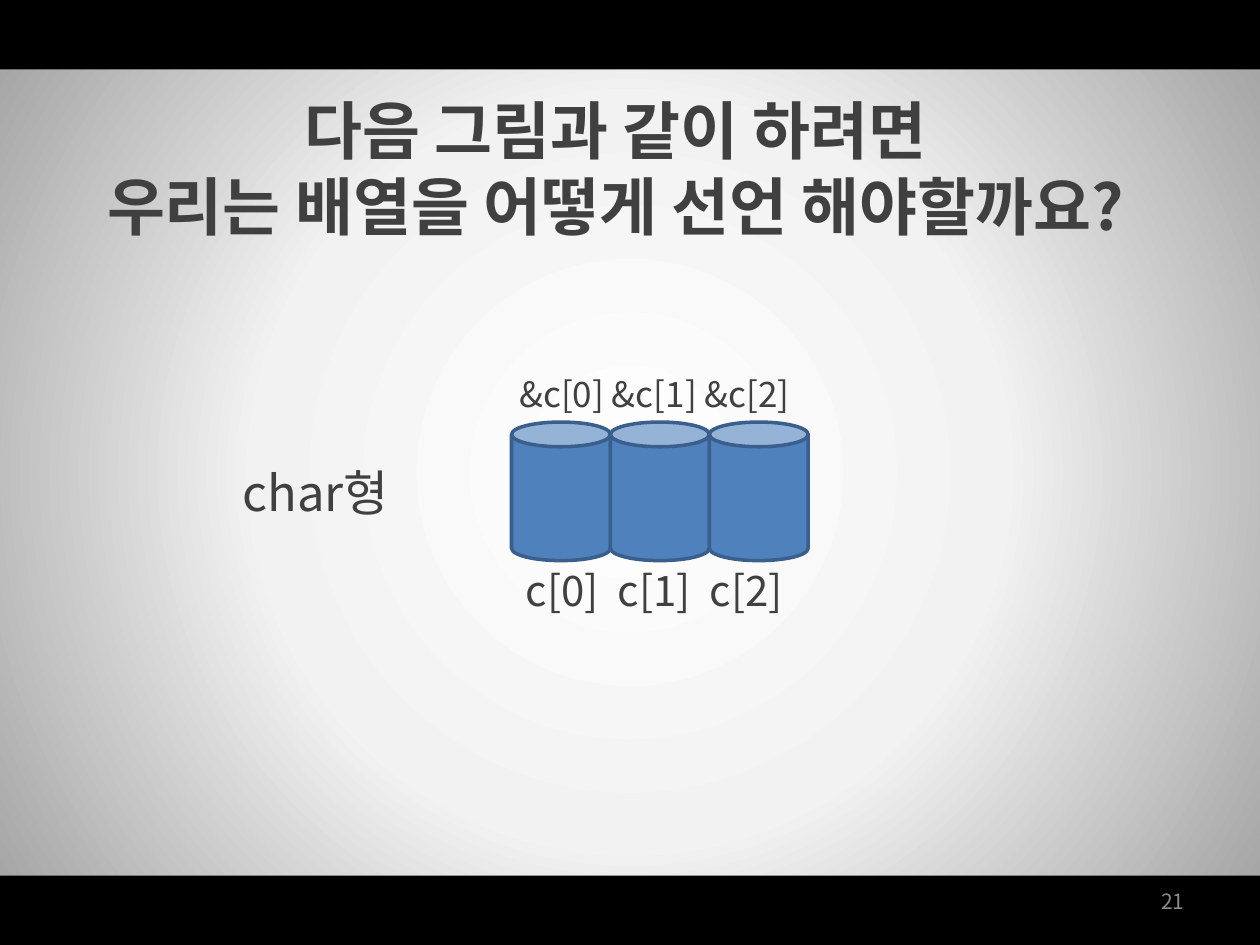
from lxml import etree
from pptx import Presentation
from pptx.dml.color import RGBColor
from pptx.enum.shapes import MSO_SHAPE
from pptx.enum.text import MSO_ANCHOR, MSO_AUTO_SIZE, PP_ALIGN
from pptx.oxml import parse_xml
from pptx.oxml.ns import nsdecls, qn
from pptx.util import Inches, Pt

RECT, CAN = MSO_SHAPE.RECTANGLE, MSO_SHAPE.CAN
CENTER, RIGHT = PP_ALIGN.CENTER, PP_ALIGN.RIGHT
TOP, MIDDLE = MSO_ANCHOR.TOP, MSO_ANCHOR.MIDDLE
GROW, FIXED = MSO_AUTO_SIZE.SHAPE_TO_FIT_TEXT, MSO_AUTO_SIZE.NONE
BLACK = RGBColor(0x00, 0x00, 0x00)
DARK = RGBColor(0x40, 0x40, 0x40)
GREY = RGBColor(0x8C, 0x8C, 0x8C)
BLUE = RGBColor(0x4F, 0x81, 0xBD)
EDGE = RGBColor(0x3A, 0x5F, 0x8C)
FONT = "Noto Sans CJK KR"
W, H, BAR = 10, 7.5, 0.55
CAN_X, CAN_Y, CAN_W, CAN_H = 4.06, 3.35, 0.785, 1.1

prs = Presentation()
prs.slide_width, prs.slide_height = Inches(W), Inches(H)
s = prs.slides.add_slide(prs.slide_layouts[6])


def add_shape(kind, x, y, w, h, fill, line=None):
    sp = s.shapes.add_shape(kind, Inches(x), Inches(y), Inches(w), Inches(h))
    sp.shadow.inherit = False
    sp.fill.solid()
    sp.fill.fore_color.rgb = fill
    if line is None:
        sp.line.fill.background()
    else:
        sp.line.color.rgb = line
        sp.line.width = Pt(2)
    return sp


def add_text(x, y, w, h, lines, size, color=DARK, bold=False,
             align=CENTER, anchor=TOP, fit=GROW, gap=0):
    """Each line is a list of words; gap widens the spaces between them, in points."""
    tf = s.shapes.add_textbox(Inches(x), Inches(y), Inches(w), Inches(h)).text_frame
    tf.word_wrap, tf.auto_size, tf.vertical_anchor = True, fit, anchor
    for i, words in enumerate(lines):
        p = tf.paragraphs[0] if i == 0 else tf.add_paragraph()
        p.alignment = align
        for j, word in enumerate(words):
            for text in ([" ", word] if j else [word]):
                r = p.add_run()
                r.text = text
                r.font.size, r.font.bold, r.font.name = Pt(size), bold, FONT
                r.font.color.rgb = color
                rPr = r.font._element
                etree.SubElement(rPr, qn("a:ea")).set("typeface", FONT)
                if text == " " and gap:
                    rPr.set("spc", str(int(gap * 100)))


# Radial backdrop between two black bars
backdrop = add_shape(RECT, 0, BAR, W, H - 2 * BAR, GREY)
stops = "".join(
    f'<a:gs pos="{pos}000"><a:srgbClr val="{color}"/></a:gs>'
    for pos, color in [(0, "FFFFFF"), (50, "F2F2F2"), (100, "A6A6A6")])
spPr = backdrop.element.spPr
spPr.replace(spPr.find(qn("a:solidFill")), parse_xml(
    f'<a:gradFill {nsdecls("a")} rotWithShape="1"><a:gsLst>{stops}</a:gsLst>'
    '<a:path path="circle"><a:fillToRect l="50000" t="50000" r="50000" b="50000"/>'
    '</a:path></a:gradFill>'))
for y in (0, H - BAR):
    add_shape(RECT, 0, y, W, BAR, BLACK)

# Slide number
add_text(7.17, H - BAR, 2.33, 0.4, [["21"]], 12, GREY,
         align=RIGHT, anchor=MIDDLE, fit=FIXED)

# Array cells
for i in range(3):
    add_shape(CAN, CAN_X + i * CAN_W, CAN_Y, CAN_W, CAN_H, BLUE, EDGE)

# Title
add_text(0.28, 0.68, 9.21, 1.31,
         [["다음 그림과 같이 하려면"], ["우리는 배열을 어떻게 선언 해야할까요?"]],
         36, bold=True)

# Element names, type and addresses
names = [f"c[{i}]" for i in range(3)]
add_text(2.48, 4.43, 5.43, 0.5, [names], 24, gap=5.4)
add_text(0.88, 3.62, 3.25, 0.57, [["char형"]], 28)
add_text(2.48, 2.91, 5.43, 0.44, [["&" + name for name in names]], 20)

prs.save("out.pptx")
